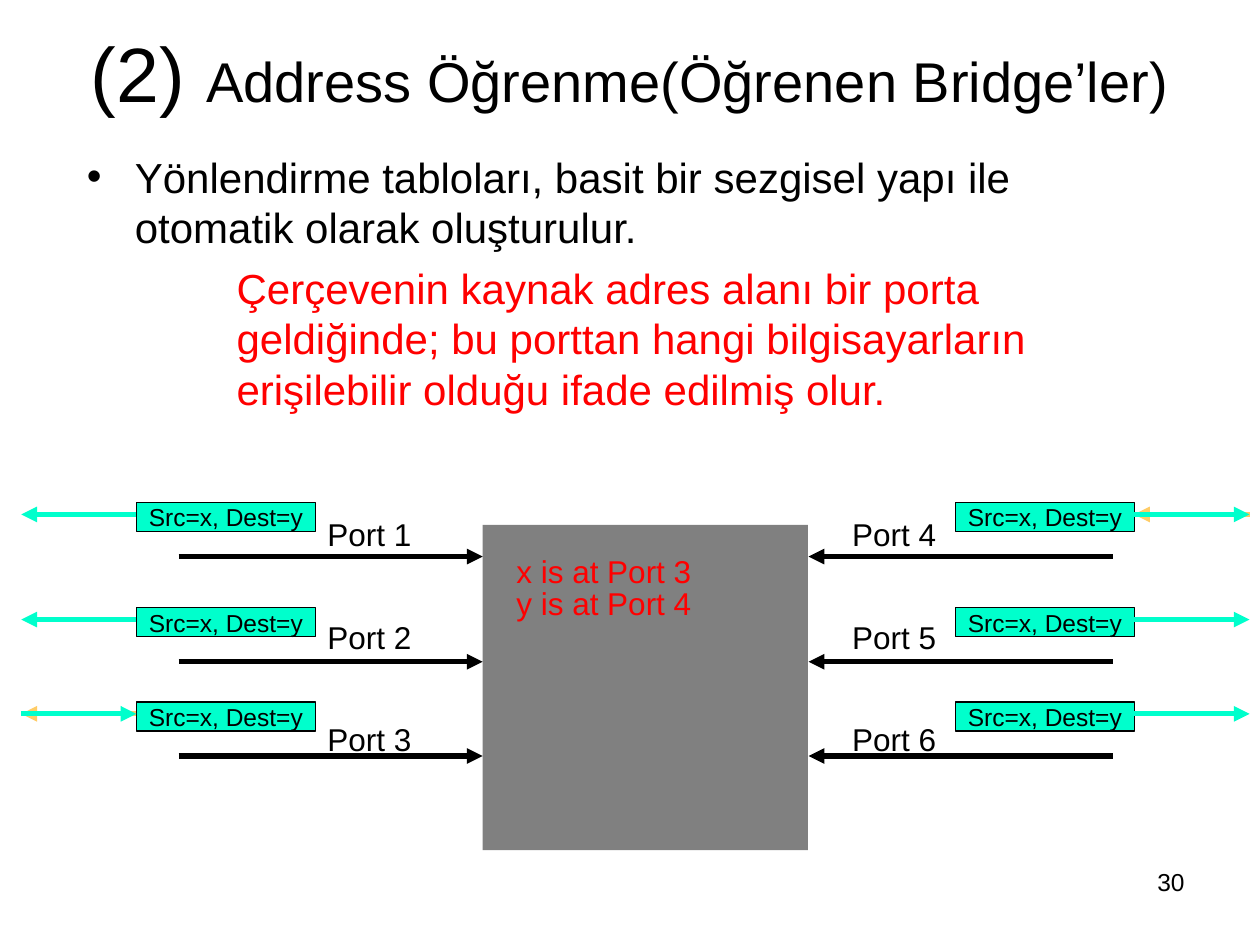
from pptx import Presentation
from pptx.dml.color import RGBColor as Rgb
from pptx.enum.shapes import MSO_CONNECTOR as Link, MSO_SHAPE as Shape
from pptx.enum.text import MSO_ANCHOR as Anchor, MSO_AUTO_SIZE as Fit, PP_ALIGN as Align
from pptx.oxml.ns import qn
from pptx.util import Cm, Pt
from lxml.etree import SubElement as Sub

HUES = {"ink": "000000", "red": "FF0000", "mint": "00FFCC",
        "gold": "FFCC66", "gray": "808080"}


class Deck:
    """Hold the style and the current slide, and draw each kind of element."""

    def __init__(self, font, hues):
        self.font, self.hues = font, hues
        self.show = Presentation()
        self.show.slide_width, self.show.slide_height = Cm(25.4), Cm(19.05)
        self.slide = self.show.slides.add_slide(self.show.slide_layouts[5])

    def hue(self, name):
        return Rgb.from_string(self.hues[name])

    def apply(self, item, **style):
        for key, value in style.items():
            setattr(item, key, value)

    def put(self, par, text, size, hue="ink", **style):
        run = par.add_run()
        run.text = text
        self.apply(run.font, name=self.font, size=Pt(size))
        run.font.color.rgb = self.hue(hue)
        self.apply(par, **style)

    def title(self, parts, *box):
        head = self.slide.shapes.title
        self.apply(head, **dict(zip(("left", "top", "width", "height"), map(Cm, box))))
        self.apply(head.text_frame, word_wrap=True, auto_size=Fit.NONE,
                   vertical_anchor=Anchor.MIDDLE)
        par = head.text_frame.paragraphs[0]
        for text, size in parts:
            self.put(par, text, size, alignment=Align.CENTER)

    def text(self, text, size, *box, hue="ink", **style):
        frame = self.slide.shapes.add_textbox(*map(Cm, box)).text_frame
        frame.word_wrap = True
        self.put(frame.paragraphs[0], text, size, hue, **style)
        return frame

    def indent(self, par, left, mark=None):
        props = par._p.get_or_add_pPr()
        props.set("marL", str(Cm(left)))
        props.set("indent", str(-Cm(left) if mark else 0))
        if mark:
            Sub(props, qn("a:buFont")).set("typeface", self.font)
            Sub(props, qn("a:buChar")).set("char", mark)

    def block(self, fill, *box, text=None, line=None):
        shape = self.slide.shapes.add_shape(Shape.RECTANGLE, *map(Cm, box))
        shape.shadow.inherit = False
        shape.fill.solid()
        shape.fill.fore_color.rgb = self.hue(fill)
        if line:
            shape.line.color.rgb = self.hue(line)
            shape.line.width = Pt(0.75)
        else:
            shape.line.fill.background()
        if text:
            frame = shape.text_frame
            self.apply(frame, margin_left=0, margin_right=0, margin_top=0,
                       margin_bottom=0, vertical_anchor=Anchor.MIDDLE)
            self.put(frame.paragraphs[0], text, 14, alignment=Align.CENTER)

    def arrow(self, hue, left, right, y, end):
        wire = self.slide.shapes.add_connector(
            Link.STRAIGHT, Cm(left), Cm(y), Cm(right), Cm(y))
        wire.line.color.rgb = self.hue(hue)
        wire.line.width = Pt(3)
        props = wire._element.spPr
        Sub(props.find(qn("a:ln")), qn(f"a:{end}End")).set("type", "triangle")
        Sub(props, qn("a:effectLst"))


def main():
    deck = Deck("Arial", HUES)
    deck.title([("(2) ", 44), ("Address Öğrenme(Öğrenen Bridge’ler)", 32)],
               1.27, 0.76, 22.86, 1.37)

    body = deck.text("Yönlendirme tabloları, basit bir sezgisel yapı ile "
                     "otomatik olarak oluşturulur.", 24, 1.5, 2.92, 21.9, 5.54)
    deck.indent(body.paragraphs[0], 0.97, "•")
    rule = body.add_paragraph()
    deck.indent(rule, 3.02)
    deck.put(rule, "Çerçevenin kaynak adres alanı bir porta geldiğinde; bu porttan "
             "hangi bilgisayarların erişilebilir olduğu ifade edilmiş olur.",
             24, "red", space_before=Pt(6), level=1)

    deck.block("gray", 9.73, 10.58, 6.56, 6.56)
    sides = [
        dict(first=1, label=6.35, lane=(3.6, 9.73), into="tail",
             box=2.75, wire=(0.43, 2.75), out="head", source=3),
        dict(first=4, label=16.93, lane=(16.3, 22.43), into="head",
             box=19.26, wire=(22.86, 25.19), out="tail", source=4),
    ]
    for side in sides:
        for row, y in enumerate((11.22, 13.34, 15.24)):
            port = side["first"] + row
            deck.arrow("ink", *side["lane"], y, side["into"])
            deck.text(f"Port {port}", 18, side["label"], 10.26 + 2.07 * row, 2.97, 1.02)
            deck.block("mint", side["box"], y - 1.09, 3.61, 0.59,
                       text="Src=x, Dest=y", line="ink")
            end = side["out"]
            if port == side["source"]:
                deck.arrow("gold", *side["wire"], y - 0.85, "head")
                end = "tail"
            deck.arrow("mint", *side["wire"], y - 0.85, end)

    for row, note in enumerate(("x is at Port 3", "y is at Port 4")):
        deck.text(note, 18, 10.16, 11 + 0.64 * row, 5.72, 1.02, hue="red")
    deck.text("30", 14, 18.2, 17.36, 5.93, 1.32, alignment=Align.RIGHT)
    deck.show.save("out.pptx")


if __name__ == "__main__":
    main()
